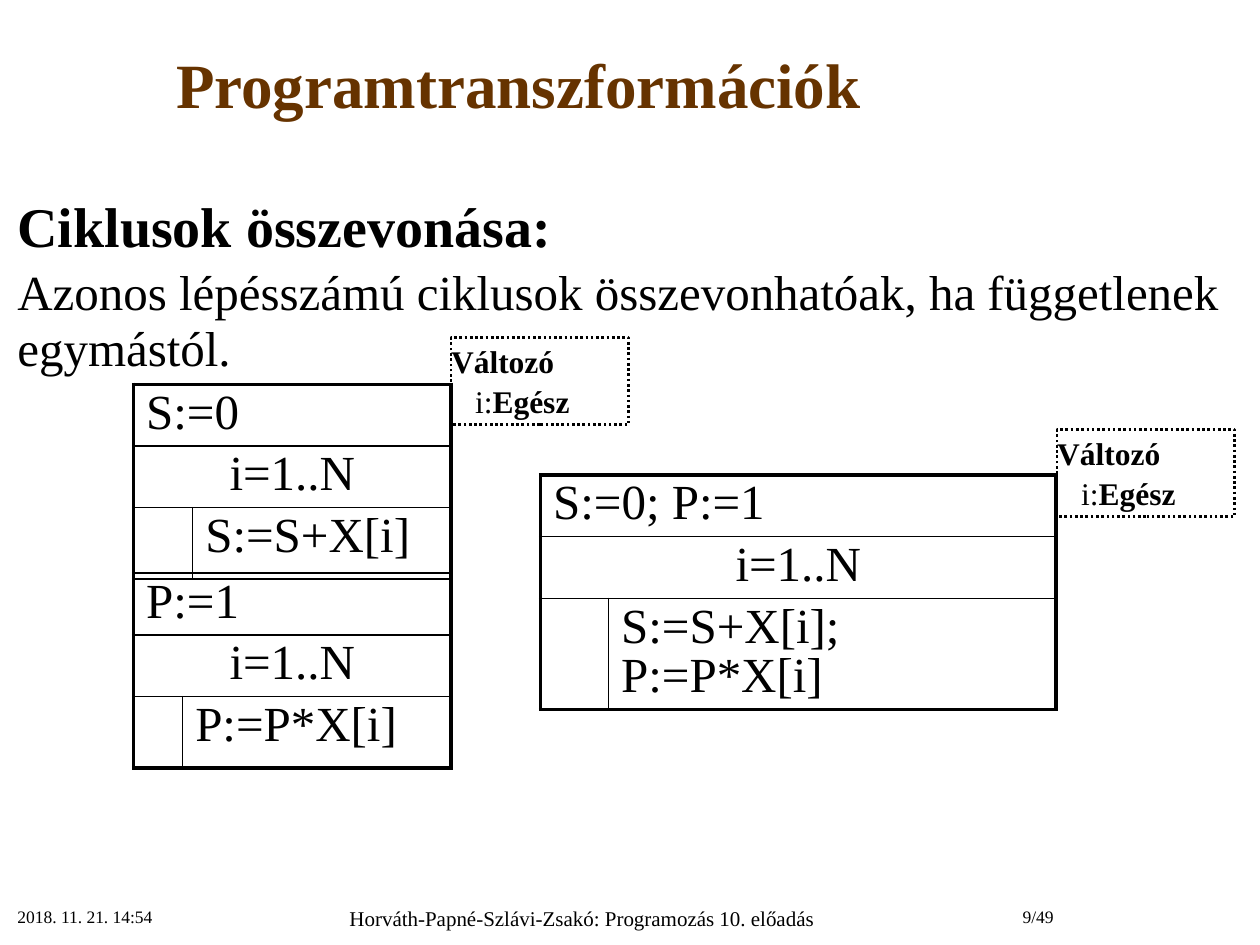
from lxml import etree
from pptx import Presentation
from pptx.dml.color import RGBColor
from pptx.enum.dml import MSO_LINE
from pptx.enum.shapes import MSO_SHAPE
from pptx.enum.text import MSO_ANCHOR, PP_ALIGN
from pptx.oxml.ns import qn
from pptx.util import Inches, Pt

LEFT, CENTER, RIGHT = PP_ALIGN.LEFT, PP_ALIGN.CENTER, PP_ALIGN.RIGHT
TOP, MIDDLE = MSO_ANCHOR.TOP, MSO_ANCHOR.MIDDLE
FONT = "Times New Roman"
BLACK, BROWN = "000000", "663300"
PLAIN_TABLE = "{2D5ABB26-0587-4C30-8999-92F81FD0307C}"
ROW, THICK, MEDIUM, THIN = 0.49, 2.25, 1.5, 1

TITLE = "Programtranszformációk"
HEADING = "Ciklusok összevonása:"
RULE = "Azonos lépésszámú ciklusok összevonhatóak, ha függetlenek egymástól."

# text, left, top, width, height, size, alignment
FOOTERS = [
    ("2018. 11. 21. 14:54", 0.04, 7.14, 2.08, 0.39, 10, LEFT),
    ("Horváth-Papné-Szlávi-Zsakó: Programozás 10. előadás", 2.12, 7.14, 5, 0.36, 12, CENTER),
    ("9/49", 7.19, 7.14, 1.27, 0.39, 10, RIGHT),
]

# Structograms: start, loop head, loop body, left, top, column widths,
# last row height, top line, bottom line
STRUCTOGRAMS = [
    ("S:=0", "i=1..N", "S:=S+X[i]", 1.06, 3.05, (0.47, 2.05), 0.52, THICK, MEDIUM),
    ("P:=1", "i=1..N", "P:=P*X[i]", 1.06, 4.55, (0.39, 2.13), 0.52, MEDIUM, THICK),
    ("S:=0; P:=1", "i=1..N", "S:=S+X[i]; P:=P*X[i]", 4.29, 3.77, (0.54, 3.55), 0.88, THICK, THICK),
]

DECLARATIONS = [(3.58, 2.68), (8.39, 3.41)]


def color(value):
    return RGBColor.from_string(value)


def style(para, size, bold=False, align=LEFT, ink=BLACK):
    para.alignment = align
    para.font.name, para.font.size, para.font.bold = FONT, Pt(size), bold
    para.font.color.rgb = color(ink)


def add_text(page, left, top, width, height, anchor=TOP):
    box = page.shapes.add_textbox(Inches(left), Inches(top), Inches(width), Inches(height))
    box.text_frame.word_wrap = True
    box.text_frame.vertical_anchor = anchor
    return box.text_frame


def set_borders(cell, **widths):
    properties = cell._tc.get_or_add_tcPr()
    for side in "LRTB":
        if side in widths:
            line = etree.SubElement(properties, qn(f"a:ln{side}"), w=str(Pt(widths[side])))
            fill = etree.SubElement(line, qn("a:solidFill"))
            etree.SubElement(fill, qn("a:srgbClr"), val=BLACK)


def add_structogram(page, start, loop, body, left, top, columns, last_row, top_line, bottom_line):
    rows = (ROW, ROW, last_row)
    frame = page.shapes.add_table(3, 2, Inches(left), Inches(top),
                                  Inches(sum(columns)), Inches(sum(rows)))
    table = frame.table
    table.first_row = table.horz_banding = False
    table._tbl.tblPr.find(qn("a:tableStyleId")).text = PLAIN_TABLE
    for column, width in zip(table.columns, columns):
        column.width = Inches(width)
    for row, height in zip(table.rows, rows):
        row.height = Inches(height)

    # The first two rows span both columns; the loop body is indented
    for row in (0, 1):
        table.cell(row, 0).merge(table.cell(row, 1))
        for column in (0, 1):
            set_borders(table.cell(row, column), L=THICK, R=THICK,
                        T=THIN if row else top_line)
    set_borders(table.cell(2, 0), L=THICK, R=THIN, B=bottom_line)
    set_borders(table.cell(2, 1), L=THIN, R=THICK, T=THIN, B=bottom_line)

    for row, column, text, align in ((0, 0, start, LEFT), (1, 0, loop, CENTER),
                                     (2, 0, "", LEFT), (2, 1, body, LEFT)):
        cell = table.cell(row, column)
        cell.fill.background()
        para = cell.text_frame.paragraphs[0]
        para.text = text
        para.line_spacing = Pt(28)
        style(para, 28, align=align)


def add_declaration(page, left, top):
    box = page.shapes.add_shape(MSO_SHAPE.RECTANGLE, Inches(left), Inches(top),
                                Inches(1.41), Inches(0.69))
    box.shadow.inherit = False
    box.fill.background()
    box.line.color.rgb = color(BLACK)
    box.line.width = Pt(1.5)
    box.line.dash_style = MSO_LINE.ROUND_DOT
    frame = box.text_frame
    frame.word_wrap = True
    frame.vertical_anchor = MIDDLE
    frame.margin_left = frame.margin_right = 0
    frame.margin_top = frame.margin_bottom = Inches(0.04)
    first, second = frame.paragraphs[0], frame.add_paragraph()
    first.text = "Változó"
    style(first, 18, bold=True)
    second._p.get_or_add_pPr().set("marL", str(Inches(0.19)))
    second.space_before = Pt(1)
    for text, bold in (("i:", False), ("Egész", True)):
        span = second.add_run()
        span.text, span.font.bold = text, bold
    style(second, 18)


deck = Presentation()
deck.slide_width, deck.slide_height = Inches(10), Inches(7.5)
page = deck.slides.add_slide(deck.slide_layouts[6])

# Title
para = add_text(page, 0, 0.09, 8.23, 1.22, MIDDLE).paragraphs[0]
para.text = TITLE
para.line_spacing = 0.9
style(para, 36, bold=True, align=CENTER, ink=BROWN)

# Heading and rule
frame = add_text(page, 0.04, 1.51, 9.77, 5.16)
heading, rule = frame.paragraphs[0], frame.add_paragraph()
for para, text, size, bold in ((heading, HEADING, 32, True), (rule, RULE, 28, False)):
    para.text = text
    para.line_spacing = 0.95
    style(para, size, bold)
rule.space_before = Pt(3)

# Structograms and their variable declarations
for structogram in STRUCTOGRAMS:
    add_structogram(page, *structogram)
for left, top in DECLARATIONS:
    add_declaration(page, left, top)

# Footer
for text, left, top, width, height, size, align in FOOTERS:
    para = add_text(page, left, top, width, height).paragraphs[0]
    para.text = text
    style(para, size, align=align)

deck.save("out.pptx")
